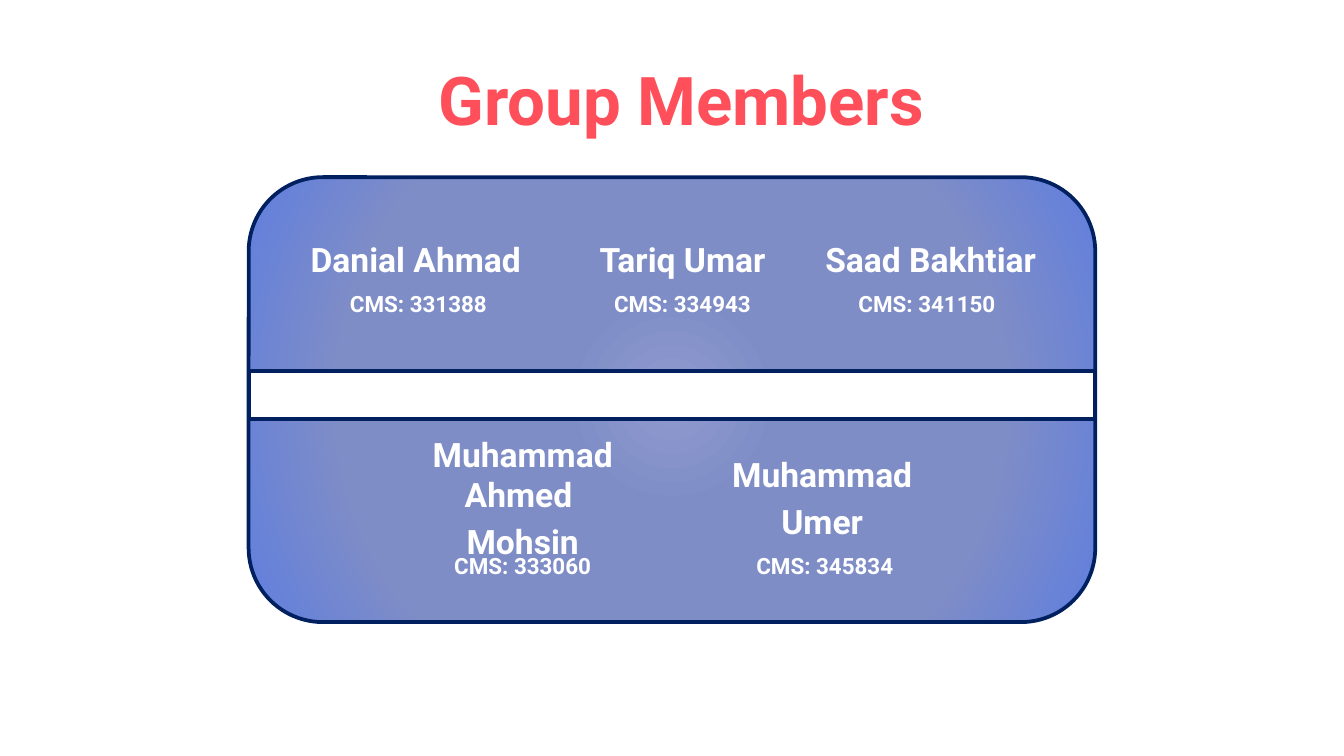
from lxml import etree
from pptx import Presentation
from pptx.dml.color import RGBColor
from pptx.enum.shapes import MSO_SHAPE
from pptx.enum.text import MSO_ANCHOR, MSO_AUTO_SIZE, PP_ALIGN
from pptx.oxml.ns import qn
from pptx.util import Cm, Pt

ROUNDED = MSO_SHAPE.ROUNDED_RECTANGLE
RECTANGLE = MSO_SHAPE.RECTANGLE
MIDDLE, TOP = MSO_ANCHOR.MIDDLE, MSO_ANCHOR.TOP
CENTER = PP_ALIGN.CENTER
GROW = MSO_AUTO_SIZE.SHAPE_TO_FIT_TEXT

FONT = "Roboto"
WHITE, NAVY, CORAL = "FFFFFF", "002060", "FE4F5A"
PANEL_STOPS = [(0, "8E9ACE"), (23, "7F8DC7"), (69, "7F8DC7"), (97, "6380DB")]
PANEL_LEFT, PANEL_WIDTH = 4.7, 16

# Row: name top, name height, number top
UPPER_ROW = (4.29, 1.07, 5.36)
LOWER_ROW = (8.99, 0.69, 10.32)

# Name lines, number, row, name left, name width, number left, number width
MEMBERS = [
    (["Danial Ahmad"], "CMS: 331388", UPPER_ROW, 5.51, 4.7, 5.56, 4.7),
    (["Muhammad Ahmed ", "Mohsin"], "CMS: 333060", LOWER_ROW, 6.88, 6, 6.88, 6),
    (["Muhammad ", "Umer"], "CMS: 345834", LOWER_ROW, 13.54, 4, 13.59, 4),
    (["Tariq Umar"], "CMS: 334943", UPPER_ROW, 10.9, 4, 10.9, 4),
    (["Saad Bakhtiar"], "CMS: 341150", UPPER_ROW, 15.29, 4.6, 15.52, 4),
]


def color(value):
    return RGBColor.from_string(value)


def add_panel(page, kind, top, height):
    panel = page.shapes.add_shape(
        kind, Cm(PANEL_LEFT), Cm(top), Cm(PANEL_WIDTH), Cm(height))
    panel.shadow.inherit = False
    panel.fill.solid()
    panel.fill.fore_color.rgb = color(WHITE)
    panel.line.color.rgb = color(NAVY)
    panel.line.width = Pt(2)
    return panel


def set_radial_fill(shape, stops):
    """Fill the shape with a gradient running out from its centre."""
    shape.fill.gradient()
    gradient = shape.element.spPr.find(qn("a:gradFill"))
    for child in list(gradient):
        gradient.remove(child)
    stop_list = etree.SubElement(gradient, qn("a:gsLst"))
    for percent, value in stops:
        stop = etree.SubElement(stop_list, qn("a:gs"), pos=str(percent * 1000))
        etree.SubElement(stop, qn("a:srgbClr"), val=value)
    path = etree.SubElement(gradient, qn("a:path"), path="circle")
    sides = {side: "50000" for side in "ltrb"}
    etree.SubElement(path, qn("a:fillToRect"), sides)


def add_text(shapes, place, lines, size, value, anchor=MIDDLE):
    box = shapes.add_textbox(*[Cm(length) for length in place])
    frame = box.text_frame
    frame.word_wrap = True
    frame.vertical_anchor = anchor
    for index, line in enumerate(lines):
        para = frame.paragraphs[0] if index == 0 else frame.add_paragraph()
        para.alignment = CENTER
        if index:
            para.space_before = Pt(size * 0.2)
        span = para.add_run()
        span.text = line
        span.font.name = FONT
        span.font.size = Pt(size)
        span.font.bold = True
        span.font.color.rgb = color(value)
    return frame


def add_heading(shapes, place, lines, size, value):
    """Add middle-anchored text, set lower by a fifth of its size."""
    frame = add_text(shapes, place, lines, size, value)
    frame.margin_top = Cm(0.13) + Pt(size * 0.2)


def add_member(page, name, number, row, name_left, name_width,
               number_left, number_width):
    name_top, name_height, number_top = row
    group = page.shapes.add_group_shape()
    add_heading(group.shapes, (name_left, name_top, name_width, name_height),
                name, 18, WHITE)
    frame = add_text(group.shapes, (number_left, number_top, number_width, 0.77),
                     [number], 12, WHITE, TOP)
    frame.auto_size = GROW


def main():
    deck = Presentation()
    deck.slide_width, deck.slide_height = Cm(25.4), Cm(14.29)
    page = deck.slides.add_slide(deck.slide_layouts[6])
    set_radial_fill(add_panel(page, ROUNDED, 3.35, 8.41), PANEL_STOPS)
    add_heading(page.shapes, (0.18, 0.94, 25.4, 1.6), ["Group Members"], 36, CORAL)
    for member in MEMBERS:
        add_member(page, *member)
    add_panel(page, RECTANGLE, 7.01, 0.91)
    deck.save("out.pptx")


if __name__ == "__main__":
    main()
